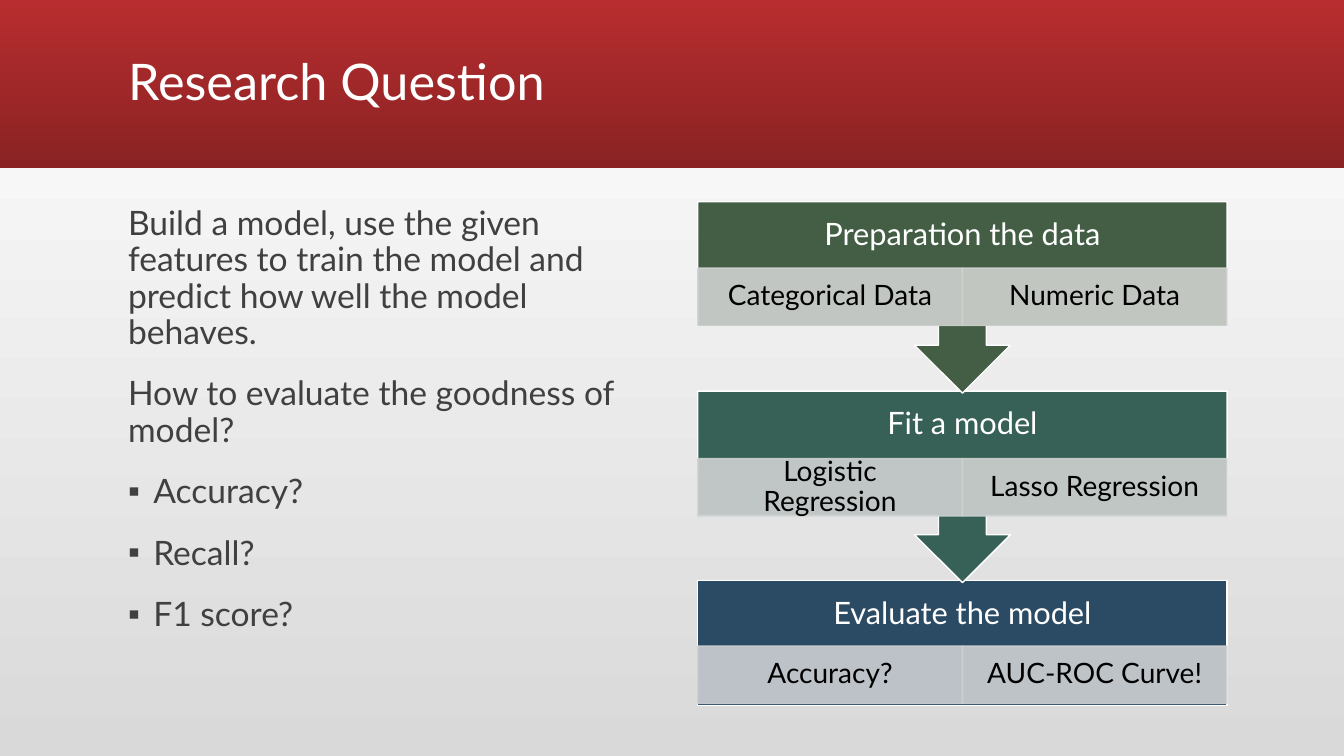
import lxml.etree
import pptx
import pptx.dml.color
import pptx.enum.shapes
import pptx.enum.text
import pptx.oxml.ns
import pptx.util

Inches = pptx.util.Inches
Pt = pptx.util.Pt
RGBColor = pptx.dml.color.RGBColor
SHAPE = pptx.enum.shapes.MSO_SHAPE
ALIGN = pptx.enum.text.PP_ALIGN
ANCHOR = pptx.enum.text.MSO_ANCHOR
qn = pptx.oxml.ns.qn

WHITE = RGBColor(0xFF, 0xFF, 0xFF)
BLACK = RGBColor(0x00, 0x00, 0x00)
TEXT_GRAY = RGBColor(0x40, 0x40, 0x40)
PAGE_GRAY = RGBColor(0xD9, 0xD9, 0xD9)
RED = RGBColor(0xB8, 0x2D, 0x2F)
DARK_RED = RGBColor(0x8A, 0x22, 0x23)
GREEN = RGBColor(0x44, 0x5E, 0x45)
TEAL = RGBColor(0x37, 0x61, 0x56)
NAVY = RGBColor(0x2B, 0x4A, 0x63)

LEFT, TOP, WIDTH, STEP = 6.92, 2, 5.25, 1.88
BOX_HEIGHT, CALLOUT_HEIGHT = 1.24, 1.9
HEADER_HEIGHT, CELL_HEIGHT = 0.67, 0.57

STAGES = [
    ("Preparation the data", GREEN, 0.66,
     [("Categorical Data", RGBColor(0xCF, 0xD2, 0xD0)),
      ("Numeric Data", RGBColor(0xCF, 0xD2, 0xCF))]),
    ("Fit a model", TEAL, 0.67,
     [("Logistic Regression", RGBColor(0xCE, 0xD2, 0xD2)),
      ("Lasso Regression", RGBColor(0xCE, 0xD2, 0xD1))]),
    ("Evaluate the model", NAVY, 0.65,
     [("Accuracy?", RGBColor(0xCD, 0xD0, 0xD3)),
      ("AUC-ROC Curve!", RGBColor(0xCE, 0xD1, 0xD3))]),
]

QUESTIONS = [
    ("Build a model, use the given features to train the model and "
     "predict how well the model behaves.", False),
    ("How to evaluate the goodness of model?", False),
    ("Accuracy?", True),
    ("Recall?", True),
    ("F1 score?", True),
]


def apply(obj, formats):
    for name, value in formats.items():
        setattr(obj, name, value)


class SlideBuilder:
    font = "Lato"
    line_spacing = 0.9

    def __init__(self, prs):
        self.s = prs.slides.add_slide(prs.slide_layouts[1])

    def gradient(self, fill, angle, colors):
        fill.gradient()
        fill.gradient_angle = angle
        for stop, color in zip(fill.gradient_stops, colors):
            stop.color.rgb = color

    def place(self, sp, box):
        names = ("left", "top", "width", "height")
        apply(sp, dict(zip(names, map(Inches, box))))

    def style_text(self, p, text, size, color, **formats):
        apply(p, {"line_spacing": self.line_spacing, **formats})
        r = p.add_run()
        r.text = text
        apply(r.font, {"name": self.font, "size": Pt(size)})
        r.font.color.rgb = color

    def label(self, sp, text, size, color, side, edge):
        tf = sp.text_frame
        apply(tf, {
            "word_wrap": True, "vertical_anchor": ANCHOR.MIDDLE,
            "margin_left": Inches(side), "margin_right": Inches(side),
            "margin_top": Inches(edge), "margin_bottom": Inches(edge),
        })
        self.style_text(tf.paragraphs[0], text, size, color, alignment=ALIGN.CENTER)

    def shape(self, kind, box):
        sp = self.s.shapes.add_shape(kind, *map(Inches, box))
        sp.shadow.inherit = False
        return sp

    def block(self, kind, box, color, line, alpha=None):
        sp = self.shape(kind, box)
        sp.fill.solid()
        sp.fill.fore_color.rgb = color
        sp.line.color.rgb = line
        sp.line.width = Pt(1)
        if alpha:
            for clr in sp._element.spPr.iter(qn("a:srgbClr")):
                lxml.etree.SubElement(clr, qn("a:alpha"), val=str(alpha * 1000))
        return sp

    def banner(self):
        sp = self.shape(SHAPE.RECTANGLE, (0, 0, 13.33, 1.67))
        self.gradient(sp.fill, 270, (RED, DARK_RED))
        sp.line.fill.background()
        self.s.shapes._spTree.insert(2, sp._element)

    def title(self, text):
        sp = self.s.shapes.title
        self.place(sp, (1.17, 0.11, 11, 1.45))
        tf = sp.text_frame
        tf.vertical_anchor = ANCHOR.MIDDLE
        self.style_text(tf.paragraphs[0], text, 36, WHITE, alignment=ALIGN.LEFT)

    def body(self, items):
        sp = self.s.placeholders[1]
        self.place(sp, (1.17, 2, 5.25, 5))
        tf = sp.text_frame
        for i, (text, bulleted) in enumerate(items):
            p = tf.add_paragraph() if i else tf.paragraphs[0]
            self.style_text(p, text, 24, TEXT_GRAY, space_before=Pt(18))
            pPr = p._p.get_or_add_pPr()
            indent = Inches(0.25) if bulleted else 0
            pPr.set("marL", str(indent))
            pPr.set("indent", str(-indent))
            if bulleted:
                lxml.etree.SubElement(pPr, qn("a:buChar"), char="▪")
            else:
                lxml.etree.SubElement(pPr, qn("a:buNone"))

    def stage(self, index, header, color, cell_offset, cells):
        top = TOP + index * STEP
        if index == len(STAGES) - 1:
            self.block(SHAPE.RECTANGLE, (LEFT, top, WIDTH, BOX_HEIGHT), color, WHITE)
        else:
            sp = self.block(SHAPE.UP_ARROW_CALLOUT,
                            (LEFT, top, WIDTH, CALLOUT_HEIGHT), color, WHITE)
            sp.rotation = 180
        box = (LEFT, top, WIDTH, HEADER_HEIGHT)
        sp = self.s.shapes.add_textbox(*map(Inches, box))
        self.label(sp, header, 22, WHITE, 0.17, 0.17)
        width = WIDTH / len(cells)
        for i, (text, fill) in enumerate(cells):
            box = (LEFT + i * width, top + cell_offset, width, CELL_HEIGHT)
            sp = self.block(SHAPE.RECTANGLE, box, fill, fill, alpha=90)
            self.label(sp, text, 20, BLACK, 0.16, 0.03)


def main():
    prs = pptx.Presentation()
    apply(prs, {"slide_width": Inches(13.33), "slide_height": Inches(7.5)})
    builder = SlideBuilder(prs)
    builder.gradient(builder.s.background.fill, 90, (PAGE_GRAY, WHITE))
    builder.banner()
    builder.title("Research Question")
    builder.body(QUESTIONS)
    for index, stage in reversed(list(enumerate(STAGES))):
        builder.stage(index, *stage)
    prs.save("out.pptx")


if __name__ == "__main__":
    main()
